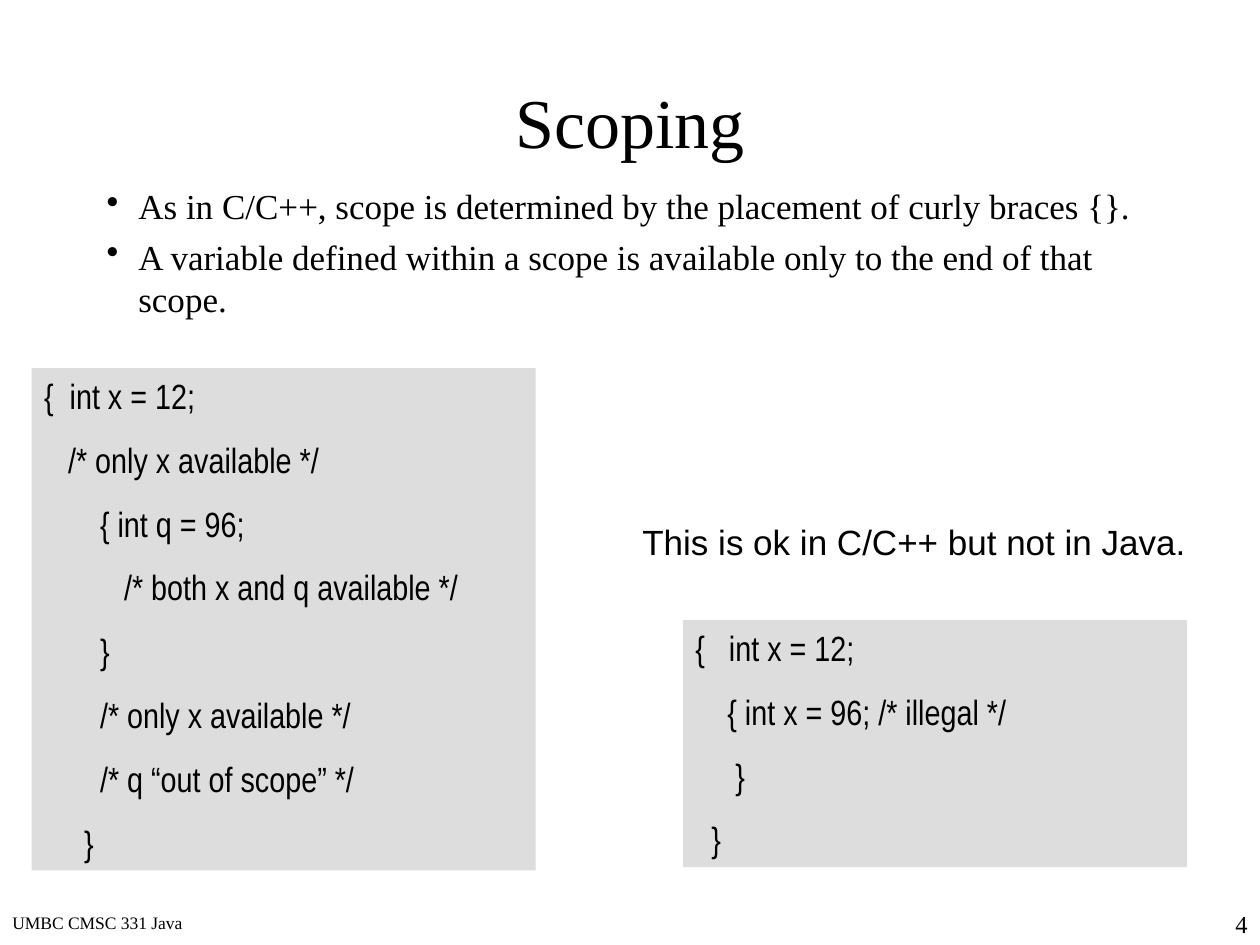
from dataclasses import dataclass

from lxml.etree import SubElement as Sub
from pptx import Presentation
from pptx.dml.color import RGBColor as Rgb
from pptx.enum.shapes import MSO_SHAPE as Kind
from pptx.enum.text import MSO_ANCHOR as Anchor, PP_ALIGN as Align
from pptx.oxml.ns import qn
from pptx.util import Cm, Pt

COLORS = {"ink": "000000", "panel": "DDDDDD"}
SERIF, SANS, NARROW = "Times New Roman", "Arial", "Arial Narrow"


@dataclass
class Block:
    left: float
    top: float
    width: float
    height: float
    lines: list[str]
    font: str = SERIF
    size: float = 20
    align: Align = Align.LEFT
    anchor: Anchor = Anchor.TOP
    gap: float = 0
    fill: str = ""
    bullet: bool = False
    wrap: bool = True


BLOCKS = [
    Block(0, 18.26, 3.94, 0.69, ["UMBC CMSC 331 Java"], size=10, wrap=False),
    Block(1.9, 0.84, 21.59, 3.18, ["Scoping"], size=40,
          align=Align.CENTER, anchor=Anchor.MIDDLE),
    Block(1.9, 3.6, 21.59, 5.08, [
        "As in C/C++, scope is determined by the placement of curly braces {}.",
        "A variable defined within a scope is available only to the end of that scope.",
    ], gap=5, bullet=True),
    Block(0.64, 7.42, 10.16, 10.13, [
        "{  int x = 12;",
        "   /* only x available */",
        "       { int q = 96;",
        "          /* both x and q available */",
        "       }",
        "       /* only x available */",
        "       /* q “out of scope” */",
        "     }",
    ], NARROW, gap=12.5, fill="panel"),
    Block(13.77, 12.5, 10.16, 4.98, [
        "{   int x = 12;",
        "    { int x = 96; /* illegal */",
        "     }",
        "  }",
    ], NARROW, gap=12.5, fill="panel"),
    Block(12.7, 10.36, 12.55, 1.12,
          ["This is ok in C/C++ but not in Java."], SANS),
    Block(20.12, 18.21, 5.28, 0.84, ["4"], size=14, align=Align.RIGHT),
]


def add_bullet(para) -> None:
    """Give the paragraph a round bullet with a hanging indent."""
    props = para._p.get_or_add_pPr()
    props.set("marL", str(Cm(0.64)))
    props.set("indent", str(-Cm(0.64)))
    tint = Sub(props, qn("a:buClr"))
    Sub(tint, qn("a:srgbClr"), val=COLORS["ink"])
    Sub(props, qn("a:buChar"), char="•")


def draw(slide, block: Block) -> None:
    area = [Cm(n) for n in (block.left, block.top, block.width, block.height)]
    if block.fill:
        shape = slide.shapes.add_shape(Kind.RECTANGLE, *area)
        shape.shadow.inherit = False
        shape.fill.solid()
        shape.fill.fore_color.rgb = Rgb.from_string(COLORS[block.fill])
        shape.line.fill.background()
    else:
        shape = slide.shapes.add_textbox(*area)
    frame = shape.text_frame
    frame.word_wrap = block.wrap
    frame.vertical_anchor = block.anchor
    frame.text = "\n".join(block.lines)
    for index, para in enumerate(frame.paragraphs):
        if block.bullet:
            add_bullet(para)
        para.alignment = block.align
        if index and block.gap:
            para.space_before = Pt(block.gap)
        for run in para.runs:
            run.font.name = block.font
            run.font.size = Pt(block.size)
            run.font.color.rgb = Rgb.from_string(COLORS["ink"])


def main() -> None:
    deck = Presentation()
    deck.slide_width, deck.slide_height = Cm(25.4), Cm(19.05)
    slide = deck.slides.add_slide(deck.slide_layouts[6])
    for block in BLOCKS:
        draw(slide, block)
    deck.save("out.pptx")


if __name__ == "__main__":
    main()
